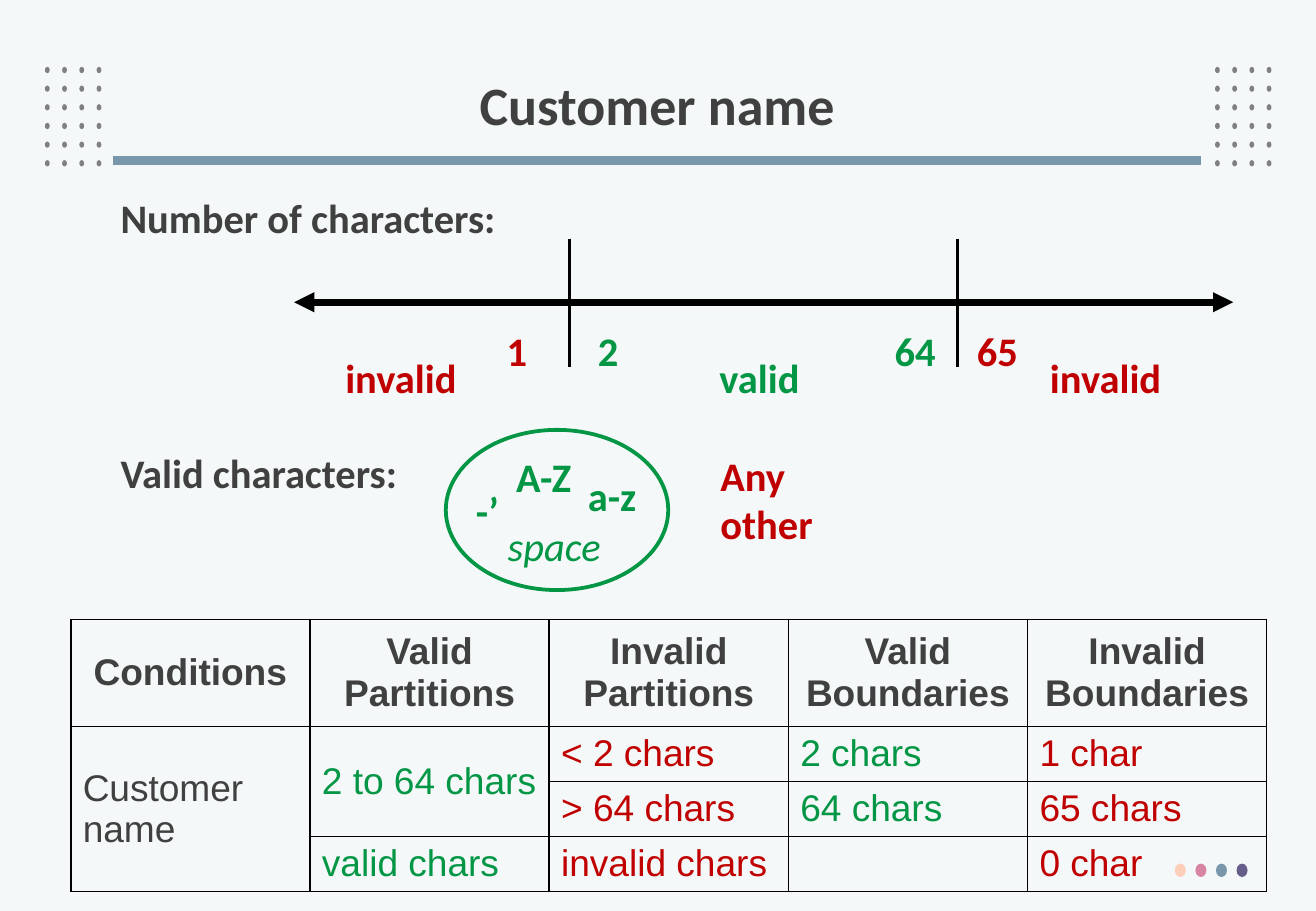
import pptx
import pptx.util
import pptx.dml.color
import pptx.enum.shapes
import pptx.enum.text
import pptx.oxml
import pptx.oxml.ns
from lxml import etree

Cm = pptx.util.Cm
Pt = pptx.util.Pt
RGBColor = pptx.dml.color.RGBColor
PP_ALIGN = pptx.enum.text.PP_ALIGN
MIDDLE = pptx.enum.text.MSO_ANCHOR.MIDDLE

PAPER = RGBColor(0xF5, 0xF8, 0xF9)
TEXT = RGBColor(0x40, 0x40, 0x40)
GREY = RGBColor(0x80, 0x80, 0x80)
BLACK = RGBColor(0, 0, 0)
GREEN = RGBColor(0x03, 0x96, 0x45)
RED = RGBColor(0xC0, 0, 0)
PEACH = RGBColor(0xFD, 0xCE, 0xB9)
PINK = RGBColor(0xD8, 0x85, 0xA3)
BLUE = RGBColor(0x78, 0x97, 0xAB)
PURPLE = RGBColor(0x65, 0x5D, 0x8A)


def sub(parent, tag, **attrs):
    """Append a DrawingML child element."""
    return etree.SubElement(parent, pptx.oxml.ns.qn(tag), attrs)


class SlideBuilder:
    font = "Calibri"
    table_font = "Arial"
    size = 24

    def __init__(self, prs):
        self.s = prs.slides.add_slide(prs.slide_layouts[5])
        fill = self.s.background.fill
        fill.solid()
        fill.fore_color.rgb = PAPER

    def put_text(self, tf, text, color, size=size, font=font, bold=True,
                 italic=False, align=PP_ALIGN.LEFT, spacing=1.0):
        tf.text = text
        for p in tf.paragraphs:
            p.alignment = align
            p.line_spacing = spacing
            for r in p.runs:
                r.font.name = font
                r.font.size = Pt(size)
                r.font.bold = bold
                r.font.italic = italic
                r.font.color.rgb = color

    def title(self, text, x, y, w, h):
        sp = self.s.shapes.title
        sp.left, sp.top, sp.width, sp.height = Cm(x), Cm(y), Cm(w), Cm(h)
        sp.text_frame.vertical_anchor = MIDDLE
        self.put_text(sp.text_frame, text, TEXT, size=32,
                      align=PP_ALIGN.CENTER, spacing=0.9)

    def text(self, text, x, y, w, h, color, wrap=False, tight=False, **style):
        tf = self.s.shapes.add_textbox(Cm(x), Cm(y), Cm(w), Cm(h)).text_frame
        tf.word_wrap = wrap
        if tight:
            tf.margin_left = tf.margin_right = Cm(0.18)
            tf.margin_top = tf.margin_bottom = Cm(0.08)
        self.put_text(tf, text, color, **style)

    def ellipse(self, x, y, w, h, fill=None, line=None):
        sp = self.s.shapes.add_shape(pptx.enum.shapes.MSO_SHAPE.OVAL,
                                     Cm(x), Cm(y), Cm(w), Cm(h))
        sp.shadow.inherit = False
        if fill is None:
            sp.fill.background()
        else:
            sp.fill.solid()
            sp.fill.fore_color.rgb = fill
        if line is None:
            sp.line.fill.background()
        else:
            sp.line.color.rgb = line
            sp.line.width = Pt(2.25)

    def line(self, x1, y1, x2, y2, color, width, arrows=False):
        cx = self.s.shapes.add_connector(
            pptx.enum.shapes.MSO_CONNECTOR.STRAIGHT,
            Cm(x1), Cm(y1), Cm(x2), Cm(y2))
        cx.line.color.rgb = color
        cx.line.width = Pt(width)
        spPr = cx._element.spPr
        if arrows:
            ln = spPr.find(pptx.oxml.ns.qn("a:ln"))
            sub(ln, "a:headEnd", type="triangle")
            sub(ln, "a:tailEnd", type="triangle")
        sub(spPr, "a:effectLst")

    def border(self, cell):
        tcPr = cell._tc.get_or_add_tcPr()
        for side in ("a:lnL", "a:lnR", "a:lnT", "a:lnB"):
            ln = sub(tcPr, side, w=str(Pt(1)))
            sub(sub(ln, "a:solidFill"), "a:srgbClr", val=str(BLACK))

    def table(self, rows, colors, merges, x, y, col_w, row_heights):
        """Draw a bordered table; the first row is a bold centred header."""
        n = len(rows[0])
        table = self.s.shapes.add_table(
            len(rows), n, Cm(x), Cm(y),
            Cm(n * col_w), Cm(sum(row_heights))).table
        table.first_row = table.horz_banding = False
        for col in table.columns:
            col.width = Cm(col_w)
        for i, row in enumerate(rows):
            table.rows[i].height = Cm(row_heights[i])
            for j, text in enumerate(row):
                cell = table.cell(i, j)
                self.border(cell)
                cell.fill.background()
                cell.vertical_anchor = MIDDLE
                cell.margin_left = cell.margin_right = Cm(0.25)
                cell.margin_top = cell.margin_bottom = Cm(0.11)
                header = i == 0
                self.put_text(cell.text_frame, text,
                              TEXT if header else colors[j], size=22,
                              font=self.table_font, bold=header,
                              align=PP_ALIGN.CENTER if header else PP_ALIGN.LEFT)
        for first, last in merges:
            table.cell(*first).merge(table.cell(*last))


def main():
    prs = pptx.Presentation()
    prs.slide_width, prs.slide_height = Cm(27.51), Cm(19.05)
    b = SlideBuilder(prs)

    # Decoration
    for left in (0.94, 25.4):
        for row in range(6):
            for col in range(4):
                b.ellipse(left + 0.36 * col, 1.4 + 0.39 * row, 0.1, 0.13, GREY)
    for i, color in enumerate((PEACH, PINK, BLUE, PURPLE)):
        b.ellipse(24.56 + 0.43 * i, 18.06, 0.23, 0.28, color)
    b.line(25.1, 3.35, 2.36, 3.35, BLUE, 5.25)
    b.title("Customer name", 1.88, 1.02, 23.72, 2.49)

    # Headings
    for text, y, w in (("Number of characters:", 4.01, 9.96),
                       ("Valid characters:", 9.35, 7.16)):
        b.text(text, 2.34, y, w, 1.14, TEXT, wrap=True, tight=True,
               spacing=0.97)

    # Number line
    b.line(6.15, 6.32, 25.78, 6.32, BLACK, 4, arrows=True)
    for x in (11.91, 20.02):
        b.line(x, 5, x, 7.67, BLACK, 2)
    number_y, range_y = 6.88, 7.44
    for text, x, y, w, color in (
            ("1", 10.41, number_y, 0.79, RED),
            ("2", 12.32, number_y, 0.79, GREEN),
            ("64", 18.52, number_y, 1.22, GREEN),
            ("65", 20.24, number_y, 1.22, RED),
            ("invalid", 7.04, range_y, 2.72, RED),
            ("valid", 14.86, range_y, 2.06, GREEN),
            ("invalid", 21.77, range_y, 2.72, RED)):
        b.text(text, x, y, w, 1.04, color, tight=True, spacing=0.87)

    # Character set
    b.ellipse(9.32, 8.99, 4.65, 3.35, line=GREEN)
    for text, x, y, w in (("A-Z", 10.54, 9.32, 1.7),
                          ("a-z", 12.04, 9.73, 1.55),
                          ("-’", 9.7, 10.03, 1.02)):
        b.text(text, x, y, w, 1.28, GREEN)
    b.text("space", 10.36, 10.77, 2.49, 1.28, GREEN, bold=False, italic=True)
    b.text("Any\vother", 14.81, 9.3, 2.46, 2.31, RED)

    b.table(
        [["Conditions", "Valid Partitions", "Invalid Partitions",
          "Valid Boundaries", "Invalid Boundaries"],
         ["Customer name", "2 to 64 chars", "< 2 chars", "2 chars", "1 char"],
         ["", "", "> 64 chars", "64 chars", "65 chars"],
         ["", "valid chars", "invalid chars", "", "0 char"]],
        colors=[TEXT, GREEN, RED, GREEN, RED],
        merges=[((1, 0), (3, 0)), ((1, 1), (2, 1))],
        x=1.48, y=12.95, col_w=5, row_heights=[2.24, 1.13, 1.13, 1.13])

    prs.save("out.pptx")


if __name__ == "__main__":
    main()
